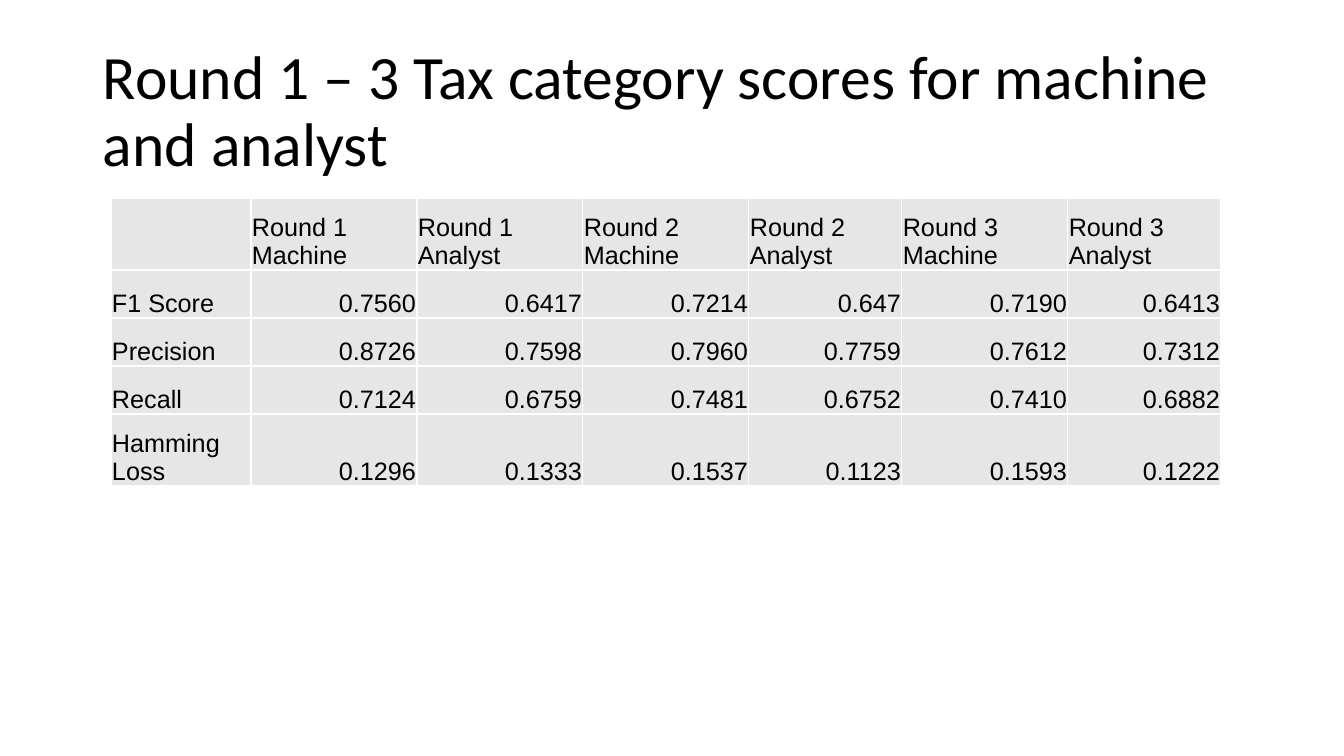
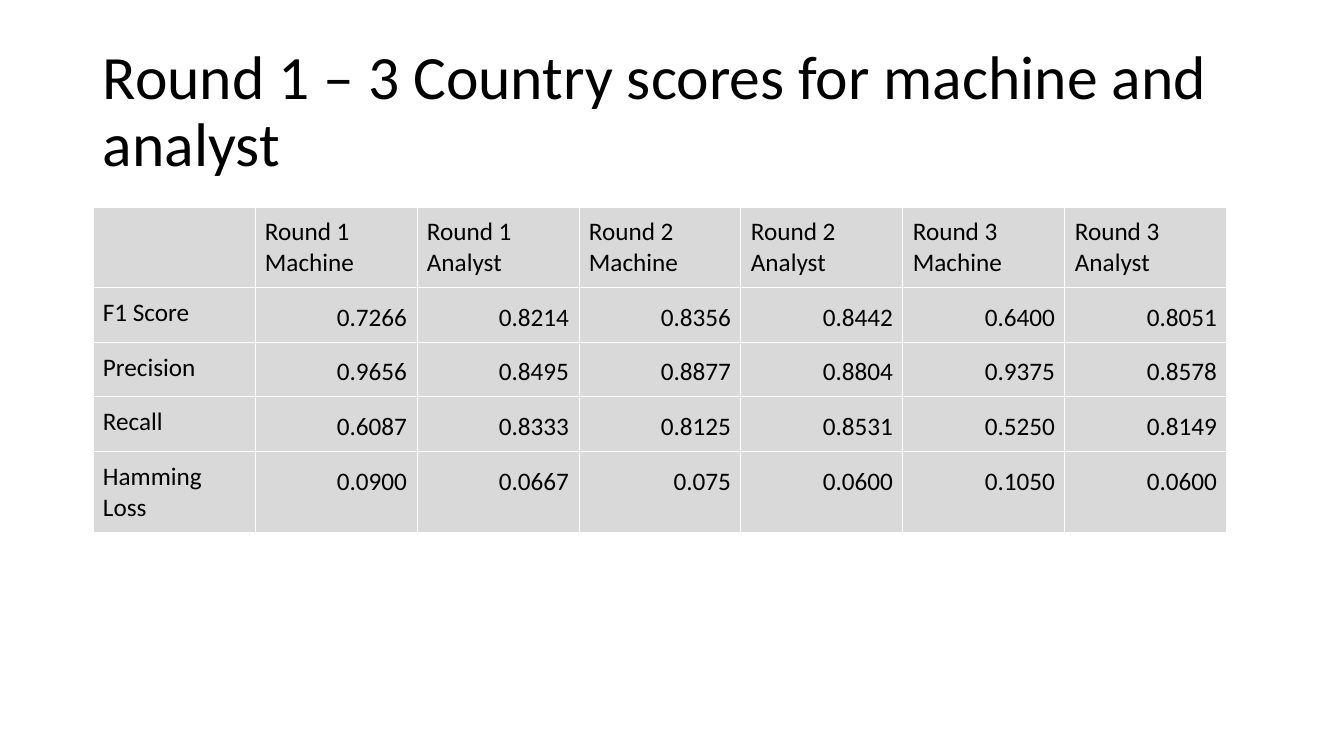
from lxml.etree import SubElement
from pptx import Presentation
from pptx.dml.color import RGBColor
from pptx.enum.text import MSO_VERTICAL_ANCHOR as Anchor, PP_PARAGRAPH_ALIGNMENT as Align
from pptx.oxml.ns import qn
from pptx.util import Emu, Pt

BLACK = RGBColor(0x00, 0x00, 0x00)
WHITE = RGBColor(0xFF, 0xFF, 0xFF)
PALE_GREY = RGBColor(0xE6, 0xE6, 0xE6)
MID_GREY = RGBColor(0xD9, 0xD9, 0xD9)

SLIDE_WIDTH, SLIDE_HEIGHT = 1344, 756
EMU_PER_PX = 12192000 / SLIDE_WIDTH

ROUND_HEADINGS = [f"Round {number} {scorer}" for number in (1, 2, 3) for scorer in ("Machine", "Analyst")]
METRICS = ["F1 Score", "Precision", "Recall", "Hamming Loss"]

TAX_SCORES = [
    ["0.7560", "0.6417", "0.7214", "0.647", "0.7190", "0.6413"],
    ["0.8726", "0.7598", "0.7960", "0.7759", "0.7612", "0.7312"],
    ["0.7124", "0.6759", "0.7481", "0.6752", "0.7410", "0.6882"],
    ["0.1296", "0.1333", "0.1537", "0.1123", "0.1593", "0.1222"],
]
COUNTRY_SCORES = [
    ["0.7266", "0.8214", "0.8356", "0.8442", "0.6400", "0.8051"],
    ["0.9656", "0.8495", "0.8877", "0.8804", "0.9375", "0.8578"],
    ["0.6087", "0.8333", "0.8125", "0.8531", "0.5250", "0.8149"],
    ["0.0900", "0.0667", "0.075", "0.0600", "0.1050", "0.0600"],
]

TAX_STYLE = {
    "font": "Arial",
    "fill": PALE_GREY,
    "border": 1,
    "score_spacing": None,
    "anchor": Anchor.BOTTOM,
    "margins": (1, 1, 1, 0),
}
COUNTRY_STYLE = {
    "font": "Calibri",
    "fill": MID_GREY,
    "border": 0.75,
    "score_spacing": 1.15,
    "anchor": Anchor.TOP,
    "margins": (10, 10, 10, 10),
}


def px(length):
    return Emu(round(length * EMU_PER_PX))


def apply(target, values):
    for name, value in values.items():
        setattr(target, name, value)


def margins(left, top, right, bottom):
    return {
        "margin_left": px(left),
        "margin_top": px(top),
        "margin_right": px(right),
        "margin_bottom": px(bottom),
    }


class Deck:
    title_box = (93, 40, 1159, 146)
    title_font = {"name": "Calibri", "size": Pt(44)}
    table_text_size = Pt(18)

    def __init__(self):
        self.presentation = Presentation()
        apply(self.presentation, {"slide_width": px(SLIDE_WIDTH), "slide_height": px(SLIDE_HEIGHT)})
        self.slide = None

    def add_slide(self, title):
        self.slide = self.presentation.slides.add_slide(self.presentation.slide_layouts[6])
        frame = self.slide.shapes.add_textbox(*map(px, self.title_box)).text_frame
        apply(frame, {"word_wrap": True, "vertical_anchor": Anchor.MIDDLE, **margins(10, 5, 10, 5)})
        self.add_text(frame.paragraphs[0], title, self.title_font, {"line_spacing": 0.9})

    def add_text(self, paragraph, text, font, layout):
        apply(paragraph, layout)
        if text:
            run = paragraph.add_run()
            run.text = text
            apply(run.font, font)
            run.font.color.rgb = BLACK

    def add_scores(self, left, top, widths, heights, scores, style):
        grid = [["", *ROUND_HEADINGS]] + [[metric, *row] for metric, row in zip(METRICS, scores)]
        table = self.slide.shapes.add_table(
            len(heights), len(widths), px(left), px(top), px(sum(widths)), px(sum(heights))
        ).table
        apply(table, {"first_row": False, "horz_banding": False})
        for column, width in zip(table.columns, widths):
            column.width = px(width)
        for row, height in zip(table.rows, heights):
            row.height = px(height)
        font = {"name": style["font"], "size": self.table_text_size}
        score_layout = {"alignment": Align.RIGHT, "line_spacing": style["score_spacing"]}
        for row_index, row in enumerate(grid):
            for column_index, text in enumerate(row):
                cell = table.cell(row_index, column_index)
                self.format_cell(cell, style)
                is_score = row_index and column_index
                self.add_text(cell.text_frame.paragraphs[0], text, font, score_layout if is_score else {})

    def format_cell(self, cell, style):
        apply(cell, {"vertical_anchor": style["anchor"], **margins(*style["margins"])})
        properties = cell._tc.get_or_add_tcPr()
        for side in ("a:lnL", "a:lnR", "a:lnT", "a:lnB"):
            line = SubElement(properties, qn(side), w=str(Pt(style["border"])))
            SubElement(SubElement(line, qn("a:solidFill")), qn("a:srgbClr"), val=str(WHITE))
        cell.fill.solid()
        cell.fill.fore_color.rgb = style["fill"]


def main():
    deck = Deck()
    deck.add_slide("Round 1 – 3 Tax category scores for machine and analyst")
    deck.add_scores(
        111, 198, [140, 166, 166, 166, 153, 166, 153], [72, 48, 48, 48, 72], TAX_SCORES, TAX_STYLE
    )
    deck.add_slide("Round 1 – 3 Country scores for machine and analyst")
    deck.add_scores(93, 207, [162] * 7, [42] * 5, COUNTRY_SCORES, COUNTRY_STYLE)
    deck.presentation.save("out.pptx")


if __name__ == "__main__":
    main()
